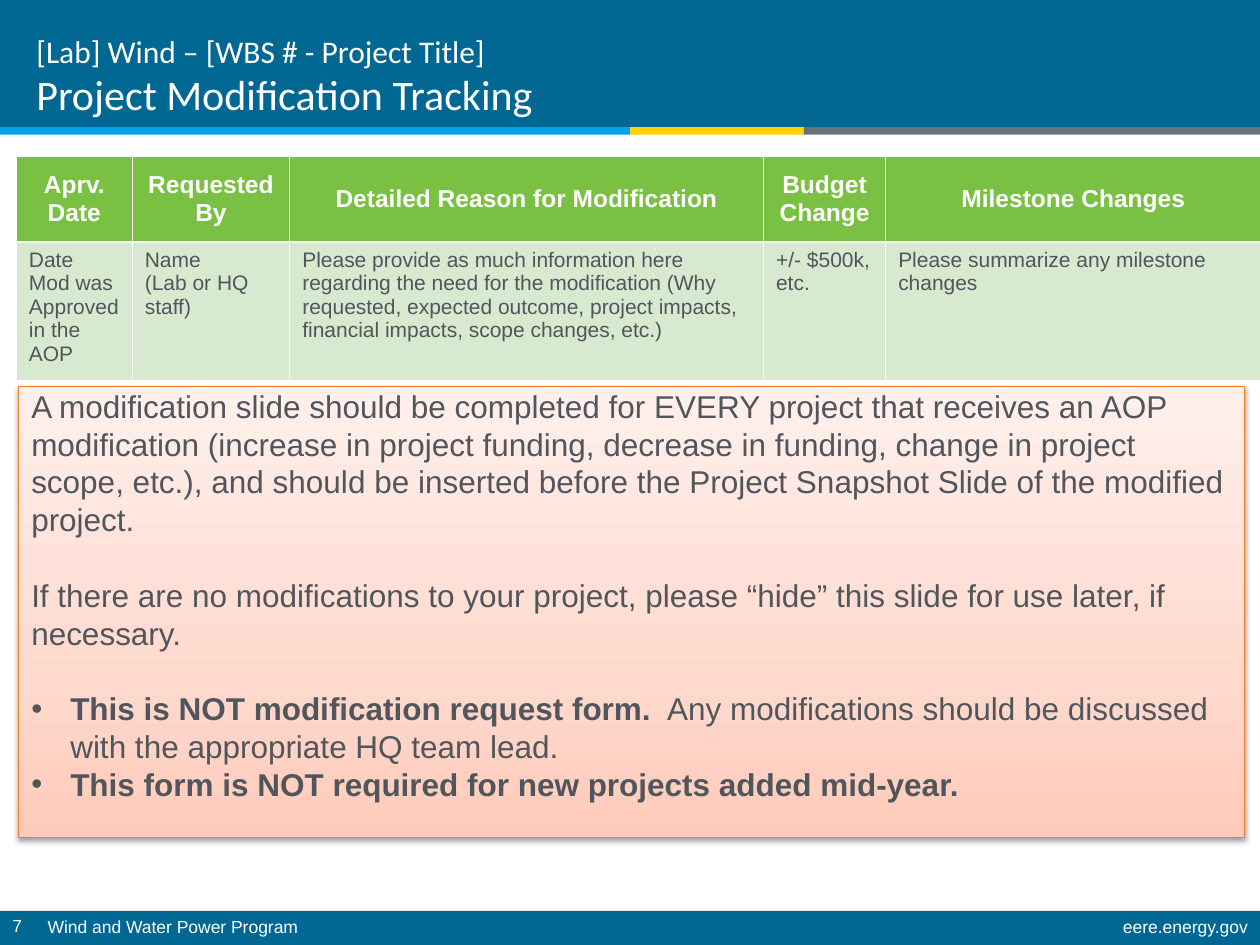
from dataclasses import dataclass

from lxml import etree
from pptx import Presentation
from pptx.dml.color import RGBColor
from pptx.enum.shapes import MSO_SHAPE
from pptx.enum.text import MSO_ANCHOR, PP_ALIGN
from pptx.oxml import parse_xml
from pptx.util import Inches, Pt

RECTANGLE = MSO_SHAPE.RECTANGLE
TOP, MIDDLE = MSO_ANCHOR.TOP, MSO_ANCHOR.MIDDLE
LEFT, CENTER, RIGHT = PP_ALIGN.LEFT, PP_ALIGN.CENTER, PP_ALIGN.RIGHT
NAMESPACE = "http://schemas.openxmlformats.org/drawingml/2006/main"
BLUE, WHITE, GRAY, GREEN, PALE_GREEN = "006892", "FFFFFF", "50565C", "7AC143", "D7E9CF"


@dataclass
class Bar:
    left: float
    top: float
    width: float
    height: float
    color: str


@dataclass
class Label:
    text: str
    left: float
    top: float
    width: float
    height: float
    align: PP_ALIGN = LEFT
    line_spacing: float = 0.9


@dataclass
class Column:
    width: float
    heading: str
    entry: str


@dataclass
class Note:
    text: str
    bold: str = ""
    space_after: float = 0


BARS = [
    Bar(0, 0, 10, 1.01, BLUE),
    Bar(0, 7.23, 10, 0.27, BLUE),
    Bar(0, 1.01, 5, 0.06, "00A4E4"),
    Bar(5, 1.01, 1.38, 0.06, "FFD200"),
    Bar(6.38, 1.01, 3.62, 0.06, "6A737B"),
]
LABELS = [
    Label("Wind and Water Power Program", 0.28, 7.24, 7.97, 0.26),
    Label("eere.energy.gov", 5.99, 7.24, 4.01, 0.26, RIGHT),
    Label("7", 0, 7.21, 0.43, 0.27, line_spacing=1),
]
COLUMNS = [
    Column(0.92, "Aprv. Date", "Date Mod was Approved in the AOP"),
    Column(1.25, "Requested By", "Name\n(Lab or HQ staff)"),
    Column(3.76, "Detailed Reason for Modification",
           "Please provide as much information here regarding the need for the modification "
           "(Why requested, expected outcome, project impacts, financial impacts, scope changes, etc.)"),
    Column(0.97, "Budget Change", "+/- $500k, etc."),
    Column(2.98, "Milestone Changes", "Please summarize any milestone changes"),
]
NOTES = [
    Note("A modification slide should be completed for EVERY project that receives an AOP "
         "modification (increase in project funding, decrease in funding, change in project "
         "scope, etc.), and should be inserted before the Project Snapshot Slide of the "
         "modified project.", space_after=21.6),
    Note("If there are no modifications to your project, please “hide” this slide for use "
         "later, if necessary.", space_after=21.6),
    Note("  Any modifications should be discussed with the appropriate HQ team lead.",
         "This is NOT modification request form."),
    Note("", "This form is NOT required for new projects added mid-year."),
]


def rgb(color: str) -> RGBColor:
    return RGBColor.from_string(color)


def format_run(run, size: float, color: str, bold: bool = False, font: str = "Arial") -> None:
    run.font.name = font
    run.font.size = Pt(size)
    run.font.bold = bold
    run.font.color.rgb = rgb(color)


def add_bar(slide, bar: Bar) -> None:
    shape = slide.shapes.add_shape(
        RECTANGLE, Inches(bar.left), Inches(bar.top), Inches(bar.width), Inches(bar.height))
    shape.shadow.inherit = False
    shape.fill.solid()
    shape.fill.fore_color.rgb = rgb(bar.color)
    shape.line.fill.background()


def add_label(slide, label: Label) -> None:
    shape = slide.shapes.add_textbox(
        Inches(label.left), Inches(label.top), Inches(label.width), Inches(label.height))
    shape.text_frame.word_wrap = True
    shape.text_frame.text = label.text
    paragraph = shape.text_frame.paragraphs[0]
    paragraph.alignment = label.align
    paragraph.line_spacing = label.line_spacing
    format_run(paragraph.runs[0], 10, WHITE)


def add_title(slide) -> None:
    shape = slide.shapes.add_textbox(Inches(0.19), Inches(0.12), Inches(6.19), Inches(0.87))
    shape.text_frame.word_wrap = True
    shape.text_frame.vertical_anchor = MIDDLE
    paragraph = shape.text_frame.paragraphs[0]
    paragraph.text = "[Lab] Wind – [WBS # - Project Title]\vProject Modification Tracking"
    paragraph.line_spacing = Pt(28)
    for run, size in zip(paragraph.runs, (18, 24)):
        format_run(run, size, WHITE, font="Calibri")


def fill_cell(cell, text: str, heading: bool) -> None:
    cell.fill.solid()
    cell.fill.fore_color.rgb = rgb(GREEN if heading else PALE_GREEN)
    cell.vertical_anchor = MIDDLE if heading else TOP
    cell.text_frame.text = text
    for paragraph in cell.text_frame.paragraphs:
        paragraph.alignment = CENTER if heading else LEFT
        format_run(paragraph.runs[0], 14 if heading else 12, WHITE if heading else GRAY, heading)


def add_modification_table(slide) -> None:
    table = slide.shapes.add_table(
        2, len(COLUMNS), Inches(0.13), Inches(1.24), Inches(9.88), Inches(1.72)).table
    table.rows[0].height, table.rows[1].height = Inches(0.68), Inches(1.04)
    for index, column in enumerate(COLUMNS):
        table.columns[index].width = Inches(column.width)
        fill_cell(table.cell(0, index), column.heading, True)
        fill_cell(table.cell(1, index), column.entry, False)


def style_panel(shape) -> None:
    """Give the panel its three-stop gradient, outline and soft shadow."""
    shape.line.color.rgb = rgb("F57D1F")
    shape.line.width = Pt(0.75)
    shape.shadow.inherit = False
    stops = "".join(
        f'<a:gs pos="{position * 1000}"><a:srgbClr val="{color}"/></a:gs>'
        for position, color in ((0, "FFCAB9"), (35, "FFD9CE"), (100, "FFF0EC")))
    properties = shape.element.spPr
    properties.find(f"{{{NAMESPACE}}}prstGeom").addnext(parse_xml(
        f'<a:gradFill xmlns:a="{NAMESPACE}" rotWithShape="1"><a:gsLst>{stops}</a:gsLst>'
        '<a:lin ang="16200000" scaled="0"/></a:gradFill>'))
    properties.find(f"{{{NAMESPACE}}}effectLst").append(parse_xml(
        f'<a:outerShdw xmlns:a="{NAMESPACE}" blurRad="{Pt(3.1)}" dist="{Pt(1.6)}" dir="5400000" '
        'rotWithShape="0"><a:srgbClr val="000000"><a:alpha val="38000"/></a:srgbClr></a:outerShdw>'))


def add_bullet(paragraph) -> None:
    properties = paragraph._p.get_or_add_pPr()
    properties.set("marL", str(Inches(0.31)))
    properties.set("indent", str(-Inches(0.31)))
    etree.SubElement(properties, f"{{{NAMESPACE}}}buFont", typeface="Arial")
    etree.SubElement(properties, f"{{{NAMESPACE}}}buChar", char="•")


def add_notes_panel(slide) -> None:
    shape = slide.shapes.add_shape(
        RECTANGLE, Inches(0.15), Inches(3.07), Inches(9.73), Inches(3.58))
    style_panel(shape)
    frame = shape.text_frame
    frame.word_wrap = True
    frame.vertical_anchor = TOP
    frame.margin_top = Inches(0)
    frame.text = "\n".join(note.bold or note.text for note in NOTES)
    for paragraph, note in zip(frame.paragraphs, NOTES):
        paragraph.alignment = LEFT
        paragraph.line_spacing = Pt(21.6)
        paragraph.space_after = Pt(note.space_after)
        format_run(paragraph.runs[0], 18, GRAY, bool(note.bold))
        if note.bold:
            add_bullet(paragraph)
            if note.text:
                run = paragraph.add_run()
                run.text = note.text
                format_run(run, 18, GRAY)


def main() -> None:
    presentation = Presentation()
    presentation.slide_width, presentation.slide_height = Inches(10), Inches(7.5)
    slide = presentation.slides.add_slide(presentation.slide_layouts[6])
    for bar in BARS:
        add_bar(slide, bar)
    for label in LABELS:
        add_label(slide, label)
    add_title(slide)
    add_modification_table(slide)
    add_notes_panel(slide)
    presentation.save("out.pptx")


if __name__ == "__main__":
    main()
